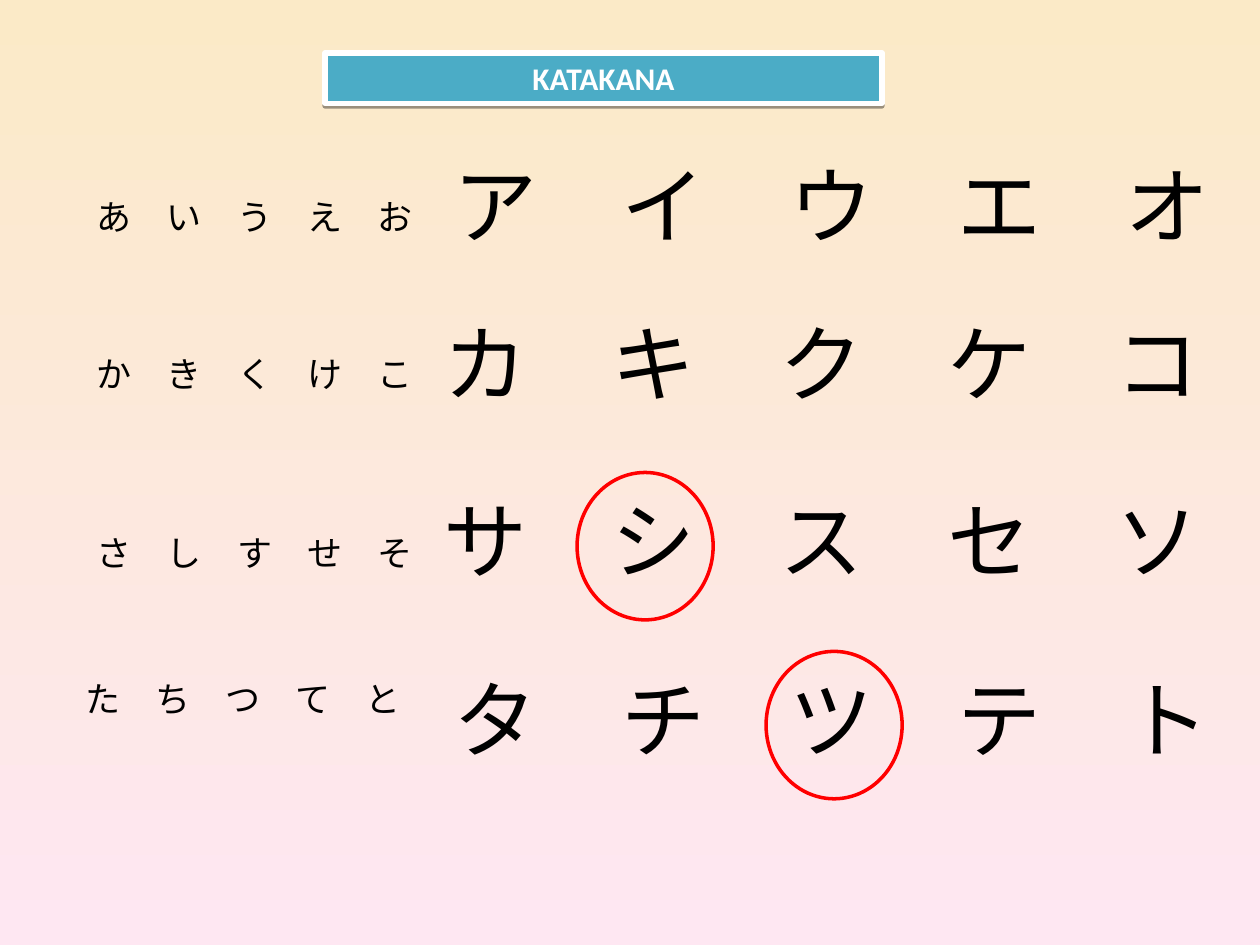
from lxml.etree import SubElement
from pptx import Presentation
from pptx.dml.color import RGBColor
from pptx.enum.shapes import MSO_SHAPE
from pptx.enum.text import MSO_ANCHOR, MSO_AUTO_SIZE, PP_ALIGN
from pptx.oxml.ns import qn
from pptx.util import Inches, Pt

COLORS = {"top": "FBEAC7", "bottom": "FEE7F2", "banner": "4BACC6",
          "white": "FFFFFF", "text": "000000", "ring": "FF0000"}
KANA_FONT = "Noto Sans CJK JP"
ROWS = [
    ("あいうえお", 0.67, 1.5, "アイウエオ", 3.5, 1.17),
    ("かきくけこ", 0.67, 2.75, "カキクケコ", 3.42, 2.42),
    ("さしすせそ", 0.67, 4.17, "サシスセソ", 3.42, 3.83),
    ("たちつてと", 0.58, 5.33, "タチツテト", 3.5, 5.25),
]
RINGS = [(4.58, 3.75), (6.08, 5.17)]


def rgb(name):
    """Return the named colour."""
    return RGBColor.from_string(COLORS[name])


def add_background(s):
    """Fill the slide with a gradient that runs from top to bottom."""
    fill = s.background.fill
    fill.gradient()
    fill.gradient_angle = 270
    for stop, name in zip(fill.gradient_stops, ("top", "bottom")):
        stop.color.rgb = rgb(name)


def add_run(tf, text, font, size, color):
    """Add a run in the first paragraph and return it."""
    tf.word_wrap = True
    tf.auto_size = MSO_AUTO_SIZE.SHAPE_TO_FIT_TEXT
    tf.vertical_anchor = MSO_ANCHOR.TOP
    r = tf.paragraphs[0].add_run()
    r.text = text
    r.font.name = font
    r.font.size = Pt(size)
    r.font.color.rgb = rgb(color)
    SubElement(r.font._element, qn("a:ea"), typeface=font)
    return r


def add_banner(s, x, y, w, h):
    """Draw the title banner with its soft edge shadow."""
    sp = s.shapes.add_shape(MSO_SHAPE.RECTANGLE, Inches(x), Inches(y), Inches(w), Inches(h))
    sp.fill.solid()
    sp.fill.fore_color.rgb = rgb("banner")
    sp.line.color.rgb = rgb("white")
    sp.line.width = Pt(3)
    sp.shadow.inherit = False
    effects = sp._element.spPr.find(qn("a:effectLst"))
    shadow = SubElement(effects, qn("a:outerShdw"), blurRad="0", dist=str(Pt(1.6)),
                        dir="5400000", rotWithShape="0")
    color = SubElement(shadow, qn("a:srgbClr"), val=COLORS["text"])
    SubElement(color, qn("a:alpha"), val="38000")
    r = add_run(sp.text_frame, "KATAKANA", "Calibri", 18, "white")
    r.font.bold = True
    sp.text_frame.paragraphs[0].alignment = PP_ALIGN.CENTER


def add_kana(s, kana, x, y, w, h, size):
    """Write one line of kana set apart by full-width spaces."""
    sp = s.shapes.add_textbox(Inches(x), Inches(y), Inches(w), Inches(h))
    add_run(sp.text_frame, "　".join(kana), KANA_FONT, size, "text")


def add_ring(s, x, y, w, h):
    """Circle one kana."""
    sp = s.shapes.add_shape(MSO_SHAPE.OVAL, Inches(x), Inches(y), Inches(w), Inches(h))
    sp.fill.background()
    sp.line.color.rgb = rgb("ring")
    sp.line.width = Pt(2)
    sp.shadow.inherit = False


def main():
    """Build the katakana slide."""
    prs = Presentation()
    prs.slide_width, prs.slide_height = Inches(10), Inches(7.5)
    s = prs.slides.add_slide(prs.slide_layouts[6])
    add_background(s)
    add_banner(s, 2.58, 0.42, 4.42, 0.4)
    for hiragana, hx, hy, katakana, kx, ky in ROWS:
        add_kana(s, hiragana, hx, hy, 3.08, 0.44, 20)
        add_kana(s, katakana, kx, ky, 6.25, 0.9, 48)
    for x, y in RINGS:
        add_ring(s, x, y, 1.08, 1.17)
    prs.save("out.pptx")


if __name__ == "__main__":
    main()
